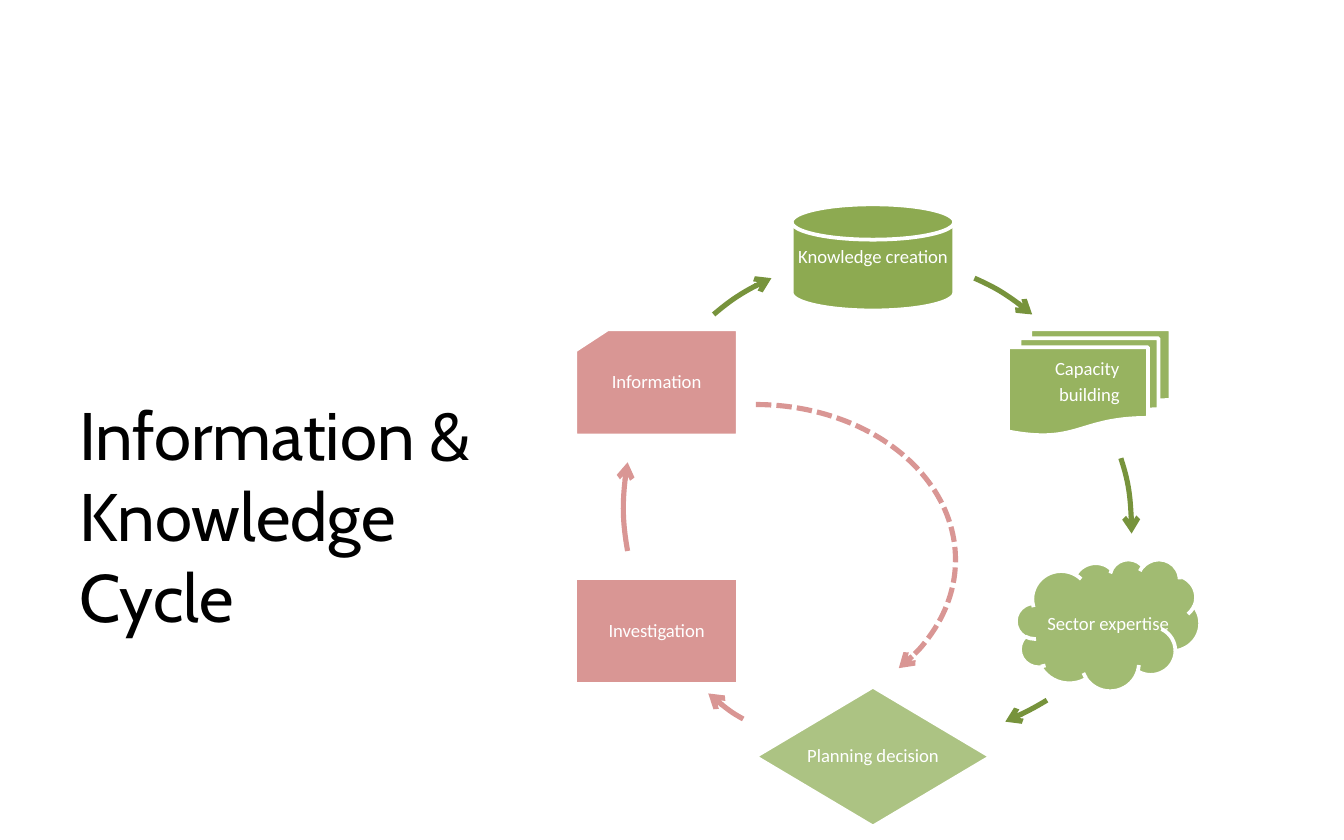
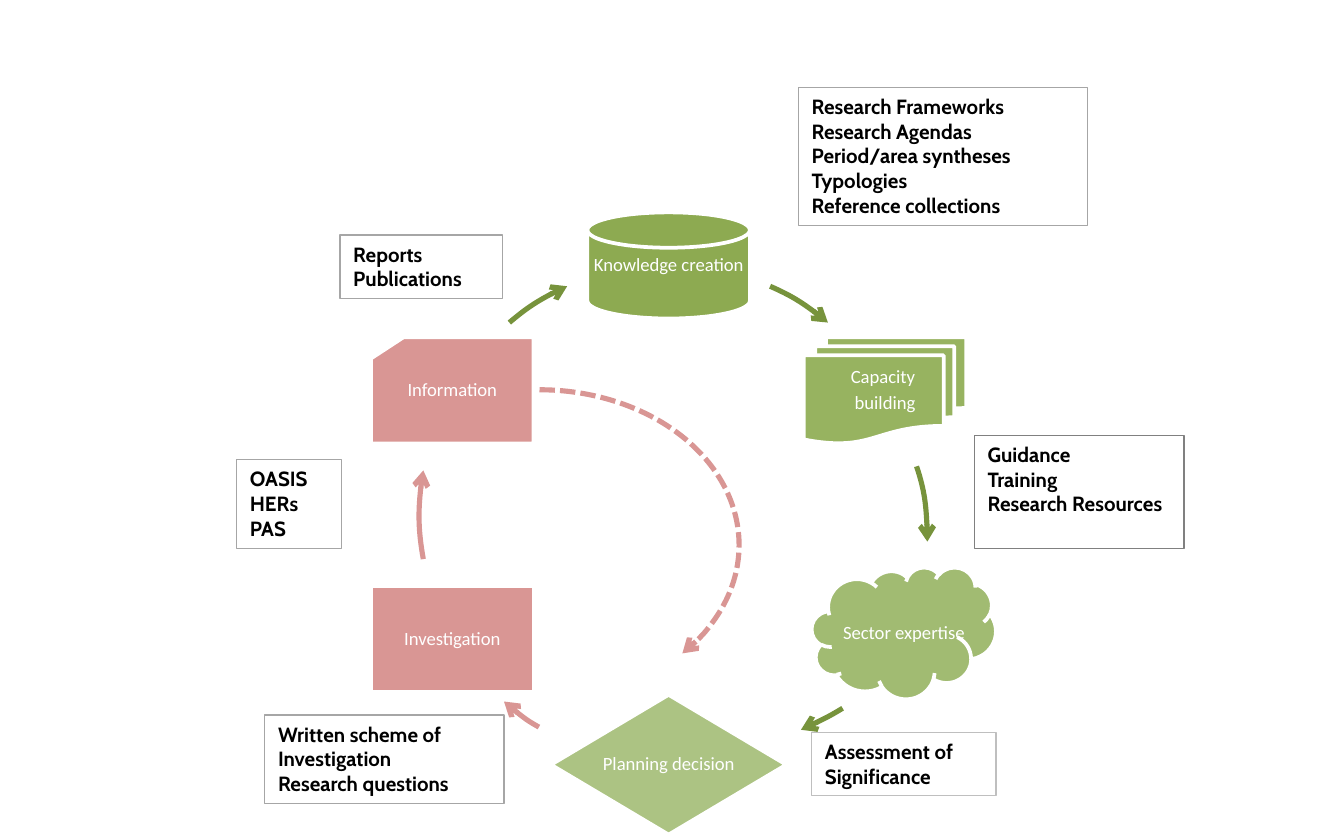
from dataclasses import dataclass
from typing import Any

from lxml.etree import SubElement
from pptx import Presentation
from pptx.dml.color import RGBColor
from pptx.enum.dml import MSO_LINE
from pptx.enum.shapes import MSO_SHAPE as Preset
from pptx.enum.text import MSO_ANCHOR as Anchor, MSO_AUTO_SIZE as AutoSize, PP_ALIGN as Align
from pptx.oxml.ns import qn
from pptx.util import Emu, Pt

EMU_PER_PX = 9144  # 100 px to the inch
PAGE = (1000, 625)
WHITE, BLACK, GREEN, PINK = "FFFFFF", "000000", "77933C", "D99694"
CARD = (121, 79)
LEFT, MIDDLE, RIGHT = 428, 589, 750
RING_SIZE = 371
CYCLE_SHIFT = (-152, 6)

NODE_FRAME = {"word_wrap": True, "vertical_anchor": Anchor.MIDDLE,
              **{f"margin_{side}": Emu(4 * EMU_PER_PX)
                 for side in ("left", "top", "right", "bottom")}}
NODE_PARA = {"alignment": Align.CENTER, "line_spacing": 0.9, "space_after": Pt(3.5)}
NODE_FONT = {"name": "Calibri", "size": Pt(10)}
NOTE_FRAME = {"word_wrap": True, "vertical_anchor": Anchor.TOP, "auto_size": AutoSize.NONE}
NOTE_FONT = {"name": "Cabin", "size": Pt(11), "bold": True}
TITLE_FRAME = {"word_wrap": True, "auto_size": AutoSize.SHAPE_TO_FIT_TEXT}
TITLE_FONT = {"name": "Cabin", "size": Pt(36)}
LEFT_PARA = {"alignment": Align.LEFT}


@dataclass(frozen=True)
class Node:
    lines: tuple[str, ...]
    preset: Preset
    left: int
    top: int
    fill: str
    size: tuple[int, int] = CARD


@dataclass(frozen=True)
class Arrow:
    """A cubic curve (start, two control points, end) on a ring with a given top left."""
    points: tuple[tuple[int, int], ...]
    color: str = GREEN
    ring: tuple[int, int] = (464, 191)


@dataclass(frozen=True)
class Note:
    lines: tuple[str, ...]
    box: tuple[int, int, int, int]
    border: str = "A6A6A6"


NODES = (
    Node(("Knowledge creation",), Preset.FLOWCHART_MAGNETIC_DISK, MIDDLE, 152, "8DAA51"),
    Node(("Capacity ", "building"), Preset.FLOWCHART_MULTIDOCUMENT, RIGHT, 245, "97B360"),
    Node(("Sector expertise",), Preset.CLOUD, 756, 416, "A1BB72", (137, 98)),
    Node(("Planning decision",), Preset.FLOWCHART_DECISION, 562, 511, "ACC383", (175, 104)),
    Node(("Investigation",), Preset.FLOWCHART_PROCESS, LEFT, 430, PINK),
    Node(("Information",), Preset.FLOWCHART_CARD, LEFT, 245, PINK),
)
ARROWS = (
    Arrow(((725, 207), (741, 214), (755, 223), (768, 234))),
    Arrow(((834, 341), (840, 359), (842, 378), (842, 397)), ring=(471, 211)),
    Arrow(((779, 521), (769, 527), (759, 532), (748, 537)), ring=(494, 178)),
    Arrow(((553, 535), (544, 530), (535, 523), (527, 516)), PINK),
    Arrow(((467, 410), (463, 388), (463, 366), (467, 344)), PINK),
    Arrow(((531, 234), (544, 223), (558, 214), (574, 207))),
)
NOTES = (
    Note(("Assessment of Significance",), (604, 545, 137, 47), "BFBFBF"),
    Note(("Written scheme of", "Investigation", "Research questions"), (197, 532, 178, 66)),
    Note(("Guidance", "Training", "Research Resources"), (725, 324, 156, 84), "808080"),
    Note(("Research Frameworks", "Research Agendas", "Period/area syntheses",
          "Typologies", "Reference collections"), (594, 65, 215, 103)),
    Note(("OASIS", "HERs", "PAS"), (176, 342, 78, 66)),
    Note(("Reports", "Publications"), (253, 175, 121, 47)),
)


def px(*lengths: int) -> list[Emu]:
    return [Emu(length * EMU_PER_PX) for length in lengths]


def rgb(color: str) -> RGBColor:
    return RGBColor.from_string(color)


def apply(target: Any, values: dict[str, Any]) -> None:
    for name, value in values.items():
        setattr(target, name, value)


def paint(shape: Any, fill: str | None, line: str, width: float) -> None:
    shape.shadow.inherit = False
    if fill:
        shape.fill.solid()
        shape.fill.fore_color.rgb = rgb(fill)
    else:
        shape.fill.background()
    shape.line.color.rgb = rgb(line)
    shape.line.width = Pt(width)


def write(shape: Any, lines: tuple[str, ...], frame_format: dict[str, Any],
          para_format: dict[str, Any], font_format: dict[str, Any], color: str) -> None:
    frame = shape.text_frame
    apply(frame, frame_format)
    for index, line in enumerate(lines):
        para = frame.add_paragraph() if index else frame.paragraphs[0]
        apply(para, para_format)
        span = para.add_run()
        span.text = line
        apply(span.font, font_format)
        span.font.color.rgb = rgb(color)


def add_arrowhead(shape: Any) -> None:
    outline = shape.element.spPr.find(qn("a:ln"))
    SubElement(outline, qn("a:tailEnd"), type="arrow")


def draw_node(shapes: Any, node: Node) -> None:
    box = px(node.left, node.top, *node.size)
    paint(shapes.add_shape(node.preset, *box), node.fill, WHITE, 2)
    write(shapes.add_textbox(*box), node.lines, NODE_FRAME, NODE_PARA, NODE_FONT, WHITE)


def draw_arrow(shapes: Any, arrow: Arrow) -> None:
    """Draw the curve in a frame that spans its whole ring."""
    start, *others = arrow.points
    left, top = arrow.ring
    builder = shapes.build_freeform(left, top, scale=EMU_PER_PX)
    builder.move_to(left + RING_SIZE, top + RING_SIZE)
    builder.move_to(*start)
    builder.add_line_segments(others, close=False)
    curve = builder.convert_to_shape()
    outline = curve.element.find(".//" + qn("a:path"))
    # The two corner moves only set the frame
    for corner in outline.findall(qn("a:moveTo"))[:2]:
        outline.remove(corner)
    # Turn the three line segments into one Bézier segment
    segments = outline.findall(qn("a:lnTo"))
    bezier = SubElement(outline, qn("a:cubicBezTo"))
    for segment in segments:
        bezier.append(segment[0])
        outline.remove(segment)
    paint(curve, None, arrow.color, 2.75)
    add_arrowhead(curve)


def draw_cycle(page: Any, shift: tuple[int, int] = (0, 0)) -> None:
    group = page.shapes.add_group_shape()
    for node, arrow in zip(NODES, ARROWS):
        draw_node(group.shapes, node)
        draw_arrow(group.shapes, arrow)
    across, down = px(*shift)
    group.left += across
    group.top += down


def draw_shortcut(page: Any, left: int, top: int) -> None:
    """Dashed arc that leads from Information to Planning decision."""
    arc = page.shapes.add_shape(Preset.ARC, *px(left, top, 297, 231))
    arc.adjustments[0], arc.adjustments[1] = 162, 22.315
    paint(arc, None, PINK, 2.75)
    arc.line.dash_style = MSO_LINE.SQUARE_DOT
    add_arrowhead(arc)


def draw_note(page: Any, note: Note) -> None:
    box = page.shapes.add_shape(Preset.RECTANGLE, *px(*note.box))
    paint(box, None, note.border, 0.75)
    write(box, note.lines, NOTE_FRAME, LEFT_PARA, NOTE_FONT, BLACK)


def main() -> None:
    deck = Presentation()
    deck.slide_width, deck.slide_height = px(*PAGE)
    blank = deck.slide_layouts[6]

    overview = deck.slides.add_slide(blank)
    draw_cycle(overview)
    draw_shortcut(overview, 414, 301)
    title = overview.shapes.add_textbox(*px(49, 288, 364, 131))
    write(title, ("Information & Knowledge Cycle",), TITLE_FRAME, LEFT_PARA, TITLE_FONT, BLACK)

    detail = deck.slides.add_slide(blank)
    draw_cycle(detail, CYCLE_SHIFT)
    draw_shortcut(detail, 253, 290)
    for note in NOTES:
        draw_note(detail, note)

    deck.save("out.pptx")


if __name__ == "__main__":
    main()
